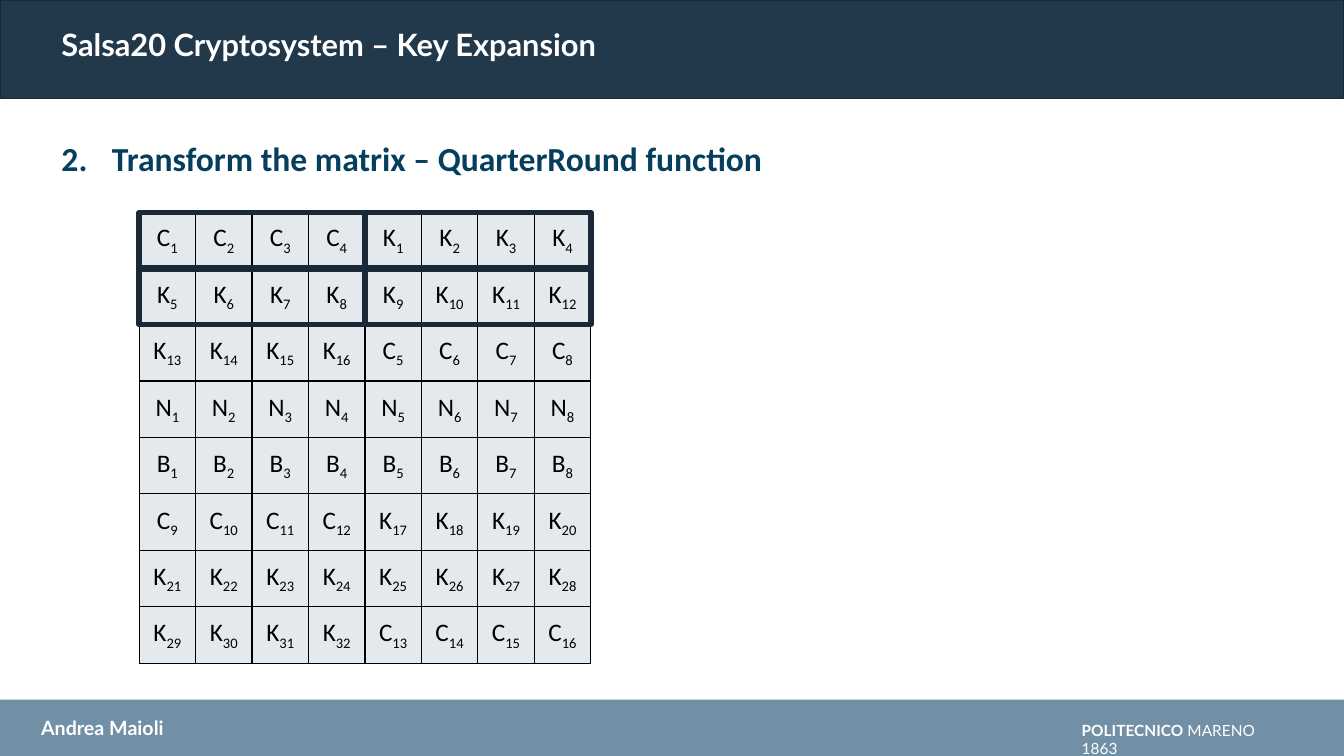
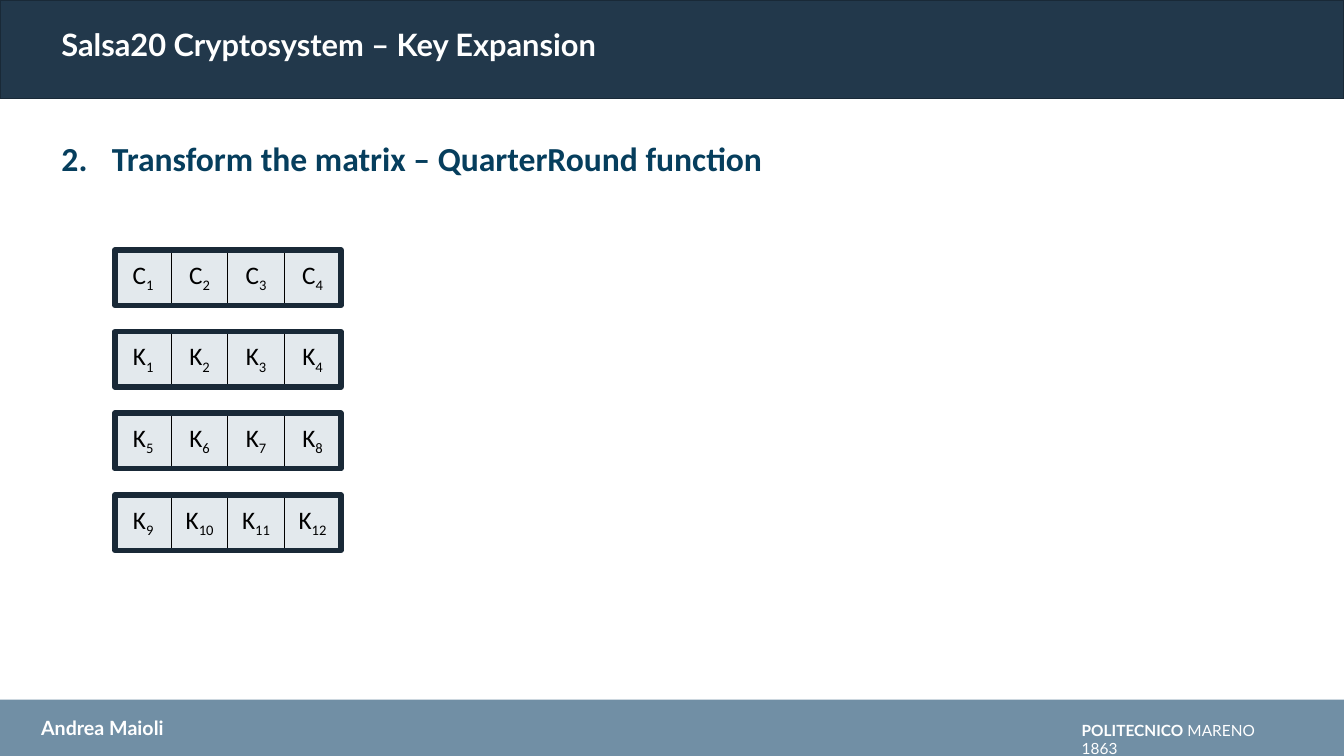
from collections import Counter
from dataclasses import dataclass

from lxml import etree
from pptx import Presentation
from pptx.dml.color import RGBColor
from pptx.enum.shapes import MSO_SHAPE
from pptx.enum.text import MSO_ANCHOR, MSO_AUTO_SIZE, PP_ALIGN
from pptx.oxml.ns import qn
from pptx.util import Inches, Pt

RECTANGLE = MSO_SHAPE.RECTANGLE
TOP, MIDDLE = MSO_ANCHOR.TOP, MSO_ANCHOR.MIDDLE
LEFT, CENTER = PP_ALIGN.LEFT, PP_ALIGN.CENTER
FIXED, GROW = MSO_AUTO_SIZE.NONE, MSO_AUTO_SIZE.SHAPE_TO_FIT_TEXT

COLORS = {
    "header": "22384B",
    "footer": "718FA5",
    "frame": "192937",
    "heading": "063E5D",
    "cell": "E3E9ED",
    "black": "000000",
    "white": "FFFFFF",
}
HEADING_FONT, BODY_FONT = "Lato", "Calibri"
CELL = 0.56
BLOCK_COLUMNS = 4
BLOCK_STEP = 0.81
SUBSCRIPT = "-25000"
LETTER_ROWS = (
    "CCCCKKKK",
    "KKKKKKKK",
    "KKKKCCCC",
    "NNNNNNNN",
    "BBBBBBBB",
    "CCCCKKKK",
    "KKKKKKKK",
    "KKKKCCCC",
)
TITLE = "Salsa20 Cryptosystem – Key Expansion"
STEP = "Transform the matrix – QuarterRound function"


@dataclass(frozen=True)
class Box:
    """A rectangle in inches."""

    left: float
    top: float
    width: float
    height: float

    def inner(self, left, top, width, height):
        """Return a box offset from this one's corner."""
        return Box(self.left + left, self.top + top, width, height)

    def emu(self):
        """Return the four lengths in slide units."""
        return [Inches(n) for n in (self.left, self.top, self.width, self.height)]


PAGE = Box(0, 0, 13.33, 7.5)
HEADER = PAGE.inner(0, 0, PAGE.width, 0.98)
FOOTER = PAGE.inner(0, 6.94, PAGE.width, 0.56)
TITLE_BOX = HEADER.inner(0.51, 0.25, 6.15, 0.36)
STEP_BOX = PAGE.inner(0.51, 1.32, 12.07, 0.5)
MATRIX_BOX = PAGE.inner(1.38, 2.1, 8 * CELL, 8 * CELL)
STACK_BOX = PAGE.inner(1.14, 2.47, BLOCK_COLUMNS * CELL, 3 * BLOCK_STEP + CELL)


def color(name):
    """Look up a named colour."""
    return RGBColor.from_string(COLORS[name])


def write(para, text, size=18, font=BODY_FONT, ink="black", bold=False, baseline=None):
    """Add formatted text to a paragraph."""
    span = para.add_run()
    span.text = text
    span.font.size = Pt(size)
    span.font.name = font
    span.font.bold = bold
    span.font.color.rgb = color(ink)
    if baseline:
        span.font._element.set("baseline", baseline)


def move(shape, box):
    """Place a shape on a box."""
    shape.left, shape.top, shape.width, shape.height = box.emu()


def add_rectangle(page, box, fill=None, line=None, weight=1):
    """Draw a plain rectangle."""
    shape = page.shapes.add_shape(RECTANGLE, *box.emu())
    shape.shadow.inherit = False
    if fill:
        shape.fill.solid()
        shape.fill.fore_color.rgb = color(fill)
    else:
        shape.fill.background()
    if line:
        shape.line.color.rgb = color(line)
        shape.line.width = Pt(weight)
    else:
        shape.line.fill.background()
    return shape


def add_label(page, box, spans, size):
    """Add a white footer label made of (text, bold) spans."""
    label = page.shapes.add_textbox(*box.emu())
    label.text_frame.word_wrap = True
    label.text_frame.auto_size = GROW
    for text, bold in spans:
        write(label.text_frame.paragraphs[0], text, size=size,
              font=HEADING_FONT, ink="white", bold=bold)
    return label


def dress_layout(layout, page):
    """Move the shared bands and labels from a page onto its layout."""
    for holder in list(layout.placeholders):
        index = holder.placeholder_format.idx
        if index > 1:
            holder.element.getparent().remove(holder.element)
        else:
            move(holder, STEP_BOX if index else TITLE_BOX)
    school = (("POLITECNICO", True), (" MARENO 1863", False))
    shared = (
        add_rectangle(page, FOOTER, fill="footer"),
        add_rectangle(page, HEADER, fill="header", line="frame"),
        add_label(page, FOOTER.inner(10.63, 0.16, 2.19, 0.29), school, 11),
        add_label(page, FOOTER.inner(0.31, 0.11, 3.06, 0.34),
                  (("Andrea Maioli", True),), 14),
    )
    for shape in shared:
        layout.shapes.element.append(shape.element)


def fill_headings(page):
    """Fill the title and the numbered step."""
    title, step = page.shapes.title, page.placeholders[1]
    for holder, box, fit in ((title, TITLE_BOX, FIXED), (step, STEP_BOX, GROW)):
        move(holder, box)
        holder.text_frame.word_wrap = True
        holder.text_frame.auto_size = fit
        holder.text_frame.vertical_anchor = TOP
        para = holder.text_frame.paragraphs[0]
        para.alignment = LEFT
        para.space_before = Pt(0)
    heading = title.text_frame.paragraphs[0]
    heading.line_spacing = 0.9
    write(heading, TITLE, size=22, font=HEADING_FONT, ink="white", bold=True)
    item = step.text_frame.paragraphs[0]
    write(item, STEP, size=24, ink="heading", bold=True)
    properties = item._p.get_or_add_pPr()
    properties.set("marL", str(Inches(0.5)))
    properties.set("indent", str(-Inches(0.5)))
    etree.SubElement(properties, qn("a:buAutoNum"), type="arabicPeriod", startAt="2")


def add_borders(cell):
    """Give a cell thin black borders."""
    properties = cell._tc.get_or_add_tcPr()
    for side in ("lnL", "lnR", "lnT", "lnB"):
        line = etree.SubElement(properties, qn(f"a:{side}"), w=str(Pt(1)))
        fill = etree.SubElement(line, qn("a:solidFill"))
        etree.SubElement(fill, qn("a:srgbClr"), val=COLORS["black"])


def add_grid(page, box, rows):
    """Draw rows of (letter, number) labels as a table."""
    table = page.shapes.add_table(len(rows), len(rows[0]), *box.emu()).table
    table.first_row = table.horz_banding = False
    for line in (*table.columns,):
        line.width = Inches(CELL)
    for line in table.rows:
        line.height = Inches(CELL)
    for row, labels in enumerate(rows):
        for column, (letter, number) in enumerate(labels):
            cell = table.cell(row, column)
            add_borders(cell)
            cell.fill.solid()
            cell.fill.fore_color.rgb = color("cell")
            cell.vertical_anchor = MIDDLE
            para = cell.text_frame.paragraphs[0]
            para.alignment = CENTER
            write(para, letter)
            write(para, str(number), baseline=SUBSCRIPT)


def add_blocks(page, boxes, blocks):
    """Draw four-cell blocks, then a thick frame around each."""
    for box, labels in zip(boxes, blocks):
        add_grid(page, box, [labels])
    for box in boxes:
        add_rectangle(page, box.inner(0, 0.01, box.width, 0.55), line="frame", weight=4)


def number_letters():
    """Number each letter of the matrix in reading order."""
    counts, rows = Counter(), []
    for letters in LETTER_ROWS:
        labels = []
        for letter in letters:
            counts[letter] += 1
            labels.append((letter, counts[letter]))
        rows.append(labels)
    return rows


def fill_matrix(page, box, matrix, blocks):
    """Show the matrix with its first blocks framed in place."""
    add_grid(page, box, matrix)
    width = BLOCK_COLUMNS * CELL
    boxes = [box.inner(column * width, row * CELL, width, CELL)
             for row in range(2) for column in range(2)]
    add_blocks(page, boxes, blocks)


def fill_stack(page, box, blocks):
    """Show the blocks one below another."""
    boxes = [box.inner(0, index * BLOCK_STEP, box.width, CELL)
             for index in range(len(blocks))]
    add_blocks(page, boxes, blocks)


def main():
    """Build and save the deck."""
    deck = Presentation()
    deck.slide_width, deck.slide_height = Inches(PAGE.width), Inches(PAGE.height)
    layout = deck.slide_layouts[1]
    pages = [deck.slides.add_slide(layout) for _ in range(2)]
    dress_layout(layout, pages[0])
    for page in pages:
        fill_headings(page)
    matrix = number_letters()
    blocks = [row[start:start + BLOCK_COLUMNS]
              for row in matrix[:2] for start in (0, BLOCK_COLUMNS)]
    fill_matrix(pages[0], MATRIX_BOX, matrix, blocks)
    fill_stack(pages[1], STACK_BOX, blocks)
    deck.save("out.pptx")


if __name__ == "__main__":
    main()
